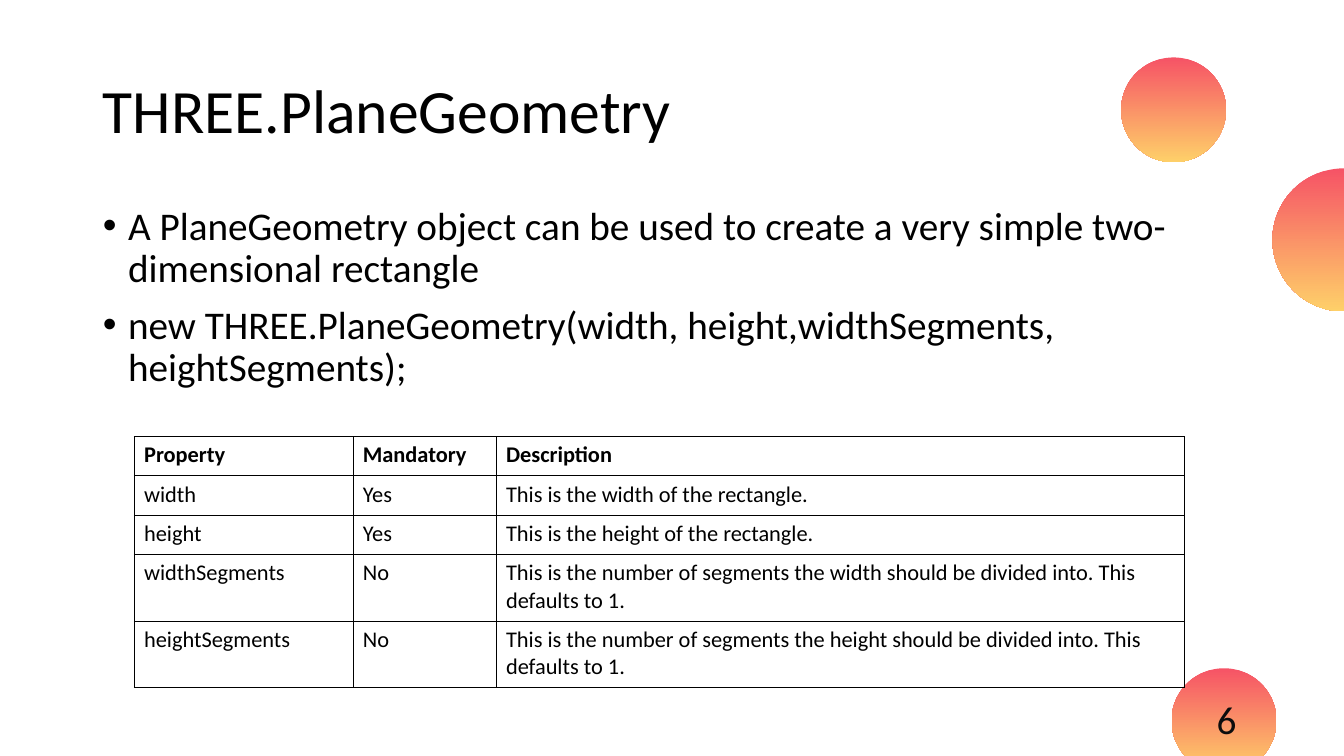
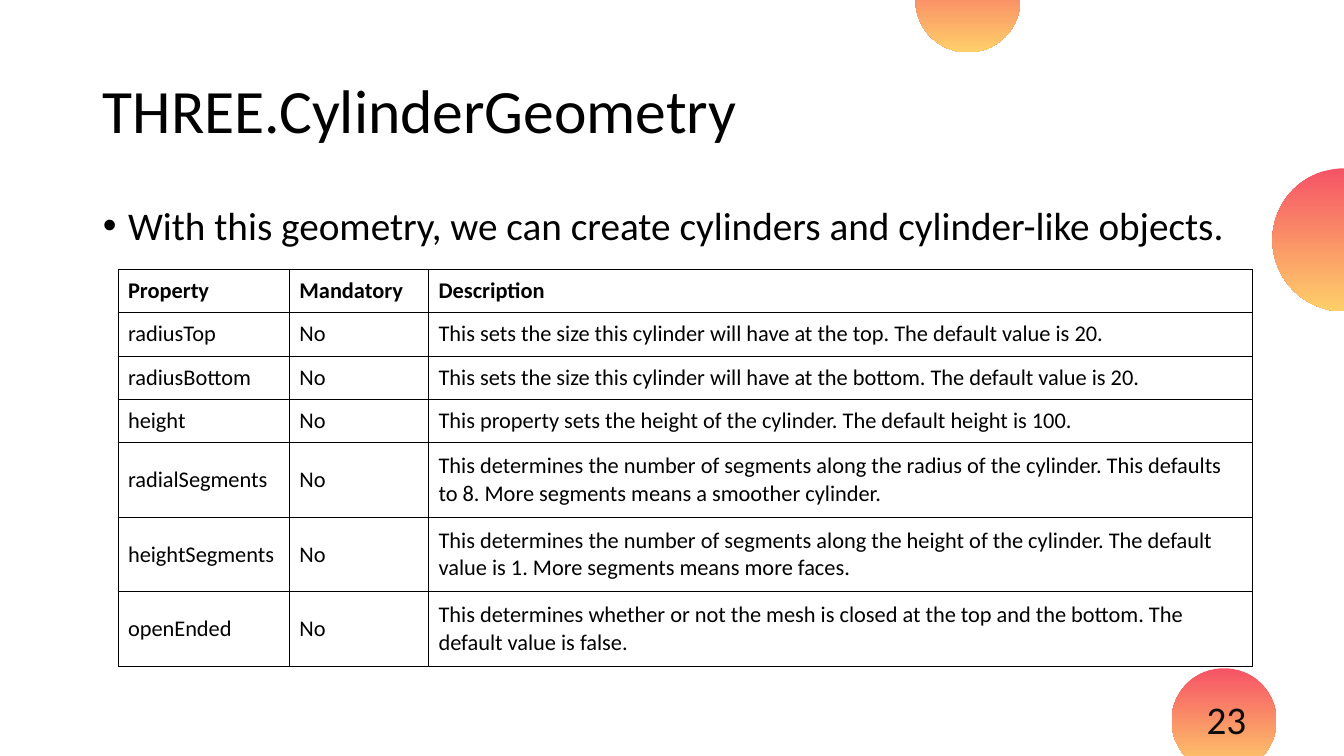
import pptx
import pptx.util
import pptx.dml.color
import pptx.enum.shapes
import pptx.enum.text
import pptx.oxml
import pptx.oxml.ns

Inches = pptx.util.Inches
Pt = pptx.util.Pt
RGBColor = pptx.dml.color.RGBColor
ANCHOR = pptx.enum.text.MSO_ANCHOR
ALIGN = pptx.enum.text.PP_ALIGN

BLACK = RGBColor(0x00, 0x00, 0x00)
NUMBER_INK = RGBColor(0x0D, 0x0D, 0x0D)
CORAL = RGBColor(0xF6, 0x53, 0x66)
AMBER = RGBColor(0xFE, 0xD0, 0x69)
FONT = "Calibri"

TITLE_BOX = (0.92, 0.4, 11.5, 1.45)
BODY_BOX = (0.92, 2, 11.5, 4.76)
NUMBER_BOX = (11.75, 6.93, 0.83, 0.4)
SMALL_CIRCLE = 1.04
LARGE_CIRCLE = 1.42
HEADINGS = ("Property", "Mandatory", "Description")

PLANE_ROWS = [
    ("width", "Yes", "This is the width of the rectangle."),
    ("height", "Yes", "This is the height of the rectangle."),
    ("widthSegments", "No", "This is the number of segments the width should be divided into. This defaults to 1."),
    ("heightSegments", "No", "This is the number of segments the height should be divided into. This defaults to 1."),
]
CYLINDER_ROWS = [
    ("radiusTop", "No", "This sets the size this cylinder will have at the top. The default value is 20."),
    ("radiusBottom", "No", "This sets the size this cylinder will have at the bottom. The default value is 20."),
    ("height", "No", "This property sets the height of the cylinder. The default height is 100."),
    ("radialSegments", "No", "This determines the number of segments along the radius of the cylinder. "
     "This defaults to 8. More segments means a smoother cylinder."),
    ("heightSegments", "No", "This determines the number of segments along the height of the cylinder. "
     "The default value is 1. More segments means more faces."),
    ("openEnded", "No", "This determines whether or not the mesh is closed at the top and the bottom. "
     "The default value is false."),
]


def style_font(font, size, color=BLACK, bold=False):
    font.name = FONT
    font.size = Pt(size)
    font.color.rgb = color
    font.bold = bold


def place(shape, box):
    shape.left, shape.top, shape.width, shape.height = (Inches(length) for length in box)


def add_title(page, box, text):
    title = page.shapes.title
    place(title, box)
    frame = title.text_frame
    frame.text = text
    frame.auto_size = pptx.enum.text.MSO_AUTO_SIZE.NONE
    frame.vertical_anchor = ANCHOR.MIDDLE
    para = frame.paragraphs[0]
    para.alignment = ALIGN.LEFT
    para.line_spacing = 0.9
    style_font(para.font, 44)


def add_bullets(page, box, lines):
    body = page.placeholders[1]
    place(body, box)
    frame = body.text_frame
    frame.text = "\n".join(lines)
    frame.auto_size = pptx.enum.text.MSO_AUTO_SIZE.NONE
    for para in frame.paragraphs:
        para.line_spacing = 0.9
        para.space_before = Pt(10)
        style_font(para.font, 28)
        properties = para._p.get_or_add_pPr()
        properties.set("marL", str(Inches(0.25)))
        properties.set("indent", str(-Inches(0.25)))


def add_circle(page, left, top, size):
    circle = page.shapes.add_shape(
        pptx.enum.shapes.MSO_SHAPE.OVAL, Inches(left), Inches(top), Inches(size), Inches(size))
    circle.shadow.inherit = False
    circle.line.fill.background()
    circle.fill.gradient()
    circle.fill.gradient_angle = 270
    for stop, color in zip(circle.fill.gradient_stops, (CORAL, AMBER)):
        stop.color.rgb = color


def add_page_number(page, box, number):
    frame = page.shapes.add_textbox(*(Inches(length) for length in box)).text_frame
    frame.word_wrap = True
    frame.vertical_anchor = ANCHOR.MIDDLE
    frame.text = str(number)
    para = frame.paragraphs[0]
    para.alignment = ALIGN.CENTER
    style_font(para.font, 28, NUMBER_INK)


def outline_cell(cell):
    properties = cell._tc.get_or_add_tcPr()
    for position, side in enumerate(("lnL", "lnR", "lnT", "lnB")):
        border = pptx.oxml.parse_xml(
            f'<a:{side} {pptx.oxml.ns.nsdecls("a")} w="{Pt(0.5)}"><a:solidFill>'
            f'<a:srgbClr val="{BLACK}"/></a:solidFill></a:{side}>')
        properties.insert(position, border)


def add_property_table(page, left, top, widths, heights, rows, anchor):
    contents = [HEADINGS, *rows]
    table = page.shapes.add_table(
        len(contents), len(widths), Inches(left), Inches(top),
        Inches(sum(widths)), Inches(sum(heights))).table
    table.first_row = False
    table.horz_banding = False
    for column, width in zip(table.columns, widths):
        column.width = Inches(width)
    for index, (row, height, texts) in enumerate(zip(table.rows, heights, contents)):
        row.height = Inches(height)
        for cell, text in zip(row.cells, texts):
            cell.text = text
            cell.vertical_anchor = anchor
            cell.fill.background()
            outline_cell(cell)
            style_font(cell.text_frame.paragraphs[0].font, 16, bold=index == 0)


def add_geometry_page(deck, title, bullets, number, circle_at, table):
    page = deck.slides.add_slide(deck.slide_layouts[1])
    add_title(page, TITLE_BOX, title)
    add_bullets(page, BODY_BOX, bullets)
    add_circle(page, 11.62, 6.63, SMALL_CIRCLE)
    add_property_table(page, **table)
    add_page_number(page, NUMBER_BOX, number)
    add_circle(page, 12.62, 1.67, LARGE_CIRCLE)
    add_circle(page, *circle_at, SMALL_CIRCLE)


deck = pptx.Presentation()
deck.slide_width = Inches(13.33)
deck.slide_height = Inches(7.5)

add_geometry_page(
    deck, "THREE.PlaneGeometry",
    ["A PlaneGeometry object can be used to create a very simple two-dimensional rectangle",
     "new THREE.PlaneGeometry(width, height,widthSegments, heightSegments);"],
    number=6, circle_at=(11.12, 0.57),
    table=dict(left=1.33, top=4.33, widths=(2.17, 1.42, 6.83),
               heights=[0.39] * 3 + [0.66] * 2, rows=PLANE_ROWS, anchor=ANCHOR.TOP))

add_geometry_page(
    deck, "THREE.CylinderGeometry",
    ["With this geometry, we can create cylinders and cylinder-like objects."],
    number=23, circle_at=(9.08, -0.52),
    table=dict(left=1.17, top=2.67, widths=(1.7, 1.38, 8.17),
               heights=[0.43] * 4 + [0.74] * 3, rows=CYLINDER_ROWS, anchor=ANCHOR.MIDDLE))

deck.save("out.pptx")
